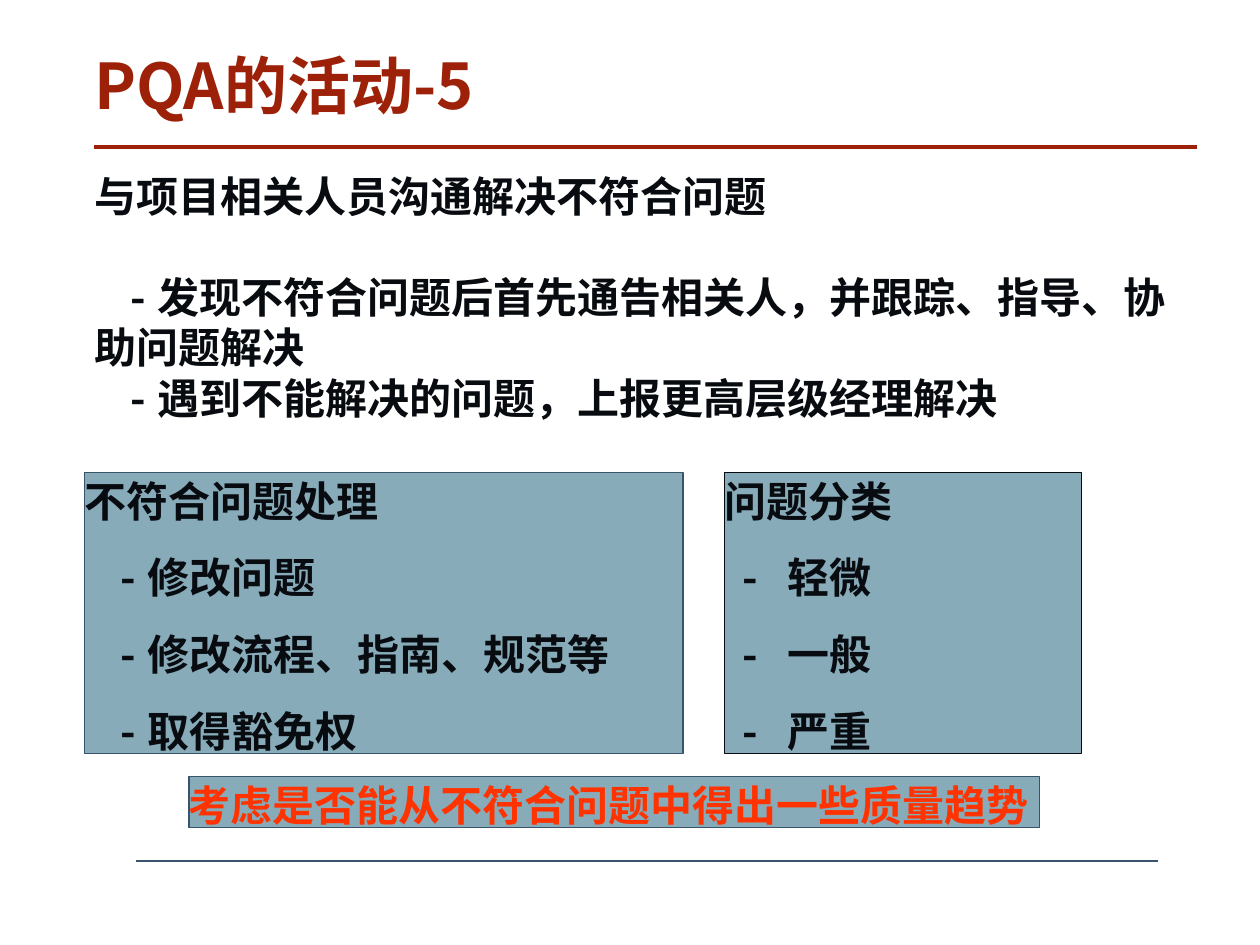
import dataclasses

import lxml.etree
import pptx
import pptx.dml.color
import pptx.enum.shapes
import pptx.enum.text
import pptx.oxml.ns
import pptx.util

Cm = pptx.util.Cm
Pt = pptx.util.Pt
qn = pptx.oxml.ns.qn


@dataclasses.dataclass(frozen=True)
class Theme:
    font: str = "Noto Sans CJK SC"
    heading: str = "9C2108"
    ink: str = "080C10"
    slate: str = "39536B"
    panel: str = "87ABB9"
    alert: str = "FF3300"
    title_size: float = 36
    text_size: float = 24
    line_ratio: float = 1.2
    panel_gap: float = 15


def rgb(value):
    return pptx.dml.color.RGBColor.from_string(value)


def write_paragraph(paragraph, text, *, font, size, color, leading, before=0, dash=None):
    """Write bold text; dash gives the (dash, text) indents in cm of a list item."""
    paragraph.alignment = pptx.enum.text.PP_ALIGN.LEFT
    paragraph.line_spacing = Pt(leading)
    paragraph.space_before = Pt(before)
    paragraph.space_after = Pt(0)
    properties = paragraph._p.get_or_add_pPr()
    properties.set("marL", "0")
    properties.set("indent", str(Cm(dash[0]) if dash else 0))
    lxml.etree.SubElement(properties, qn("a:buNone"))
    if dash:
        stops = lxml.etree.SubElement(properties, qn("a:tabLst"))
        lxml.etree.SubElement(stops, qn("a:tab"), pos=str(Cm(dash[1])), algn="l")
    run = paragraph.add_run()
    run.text = f"-\t{text}" if dash else text
    run.font.name = font
    run.font.size = Pt(size)
    run.font.bold = True
    run.font.color.rgb = rgb(color)
    east_asian = lxml.etree.SubElement(run._r.get_or_add_rPr(), qn("a:ea"))
    east_asian.set("typeface", font)


class SlideBuilder:
    def __init__(self, slide, theme):
        self.slide = slide
        self.theme = theme

    def _place(self, shape, left, top, width, height):
        shape.left, shape.top = Cm(left), Cm(top)
        shape.width, shape.height = Cm(width), Cm(height)

    def _frame(self, shape):
        frame = shape.text_frame
        frame.word_wrap = True
        frame.auto_size = pptx.enum.text.MSO_AUTO_SIZE.NONE
        frame.vertical_anchor = pptx.enum.text.MSO_ANCHOR.TOP
        frame.margin_left = frame.margin_right = frame.margin_bottom = 0
        frame.margin_top = Cm(0.05)
        return frame

    def _write_list(self, shape, heading, items, dash, color, first_gap, gap):
        frame = self._frame(shape)
        style = dict(font=self.theme.font, size=self.theme.text_size, color=color,
                     leading=self.theme.text_size * self.theme.line_ratio)
        write_paragraph(frame.paragraphs[0], heading, **style)
        for index, item in enumerate(items):
            write_paragraph(frame.add_paragraph(), item, dash=dash,
                            before=gap if index else first_gap, **style)

    def title(self, text, *box):
        heading = self.slide.shapes.title
        self._place(heading, *box)
        write_paragraph(self._frame(heading).paragraphs[0], text, font=self.theme.font,
                        size=self.theme.title_size, color=self.theme.heading,
                        leading=self.theme.title_size * 1.07)

    def body(self, heading, items, *box, dash):
        content = self.slide.placeholders[1]
        self._place(content, *box)
        one_line = self.theme.text_size * self.theme.line_ratio
        self._write_list(content, heading, items, dash, self.theme.ink, one_line, 0)

    def panel(self, heading, items, *box, dash=None, border, color):
        panel = self.slide.shapes.add_shape(
            pptx.enum.shapes.MSO_SHAPE.RECTANGLE, *map(Cm, box))
        panel.shadow.inherit = False
        panel.fill.solid()
        panel.fill.fore_color.rgb = rgb(self.theme.panel)
        panel.line.color.rgb = rgb(border)
        panel.line.width = Pt(0.75)
        gap = self.theme.panel_gap
        self._write_list(panel, heading, items, dash, color, gap, gap)

    def rule(self, left, right, y, color, weight):
        rule = self.slide.shapes.add_connector(
            pptx.enum.shapes.MSO_CONNECTOR.STRAIGHT, Cm(left), Cm(y), Cm(right), Cm(y))
        rule.line.color.rgb = rgb(color)
        rule.line.width = Pt(weight)
        lxml.etree.SubElement(rule._element.spPr, qn("a:effectLst"))


def main():
    deck = pptx.Presentation()
    deck.slide_width, deck.slide_height = Cm(25.4), Cm(19.05)
    theme = Theme()
    page = SlideBuilder(deck.slides.add_slide(deck.slide_layouts[1]), theme)
    margin, content_width = 1.9, 22.23

    # Footer and title rules
    page.rule(2.75, 23.34, 17.35, theme.slate, 1)
    page.rule(margin, margin + content_width, 2.97, theme.heading, 2.25)

    # Title and main list
    page.title("PQA的活动-5", margin, 1.06, content_width, 1.55)
    page.body("与项目相关人员沟通解决不符合问题",
              ["发现不符合问题后首先通告相关人，并跟踪、指导、协助问题解决",
               "遇到不能解决的问题，上报更高层级经理解决"],
              margin, 3.39, content_width, 13.55, dash=(0.74, 1.66))

    # Classification and handling panels
    panel_top, panel_height = 9.53, 5.66
    page.panel("问题分类", ["轻微", "一般", "严重"],
               14.6, panel_top, 7.2, panel_height,
               dash=(0.37, 1.08), border=theme.ink, color=theme.ink)
    page.panel("不符合问题处理", ["修改问题", "修改流程、指南、规范等", "取得豁免权"],
               1.7, panel_top, 12.07, panel_height,
               dash=(0.74, 1.47), border=theme.slate, color=theme.ink)

    # Closing remark
    page.panel("考虑是否能从不符合问题中得出一些质量趋势", [],
               3.81, 15.66, 17.15, 1.02, border=theme.slate, color=theme.alert)

    deck.save("out.pptx")


if __name__ == "__main__":
    main()
